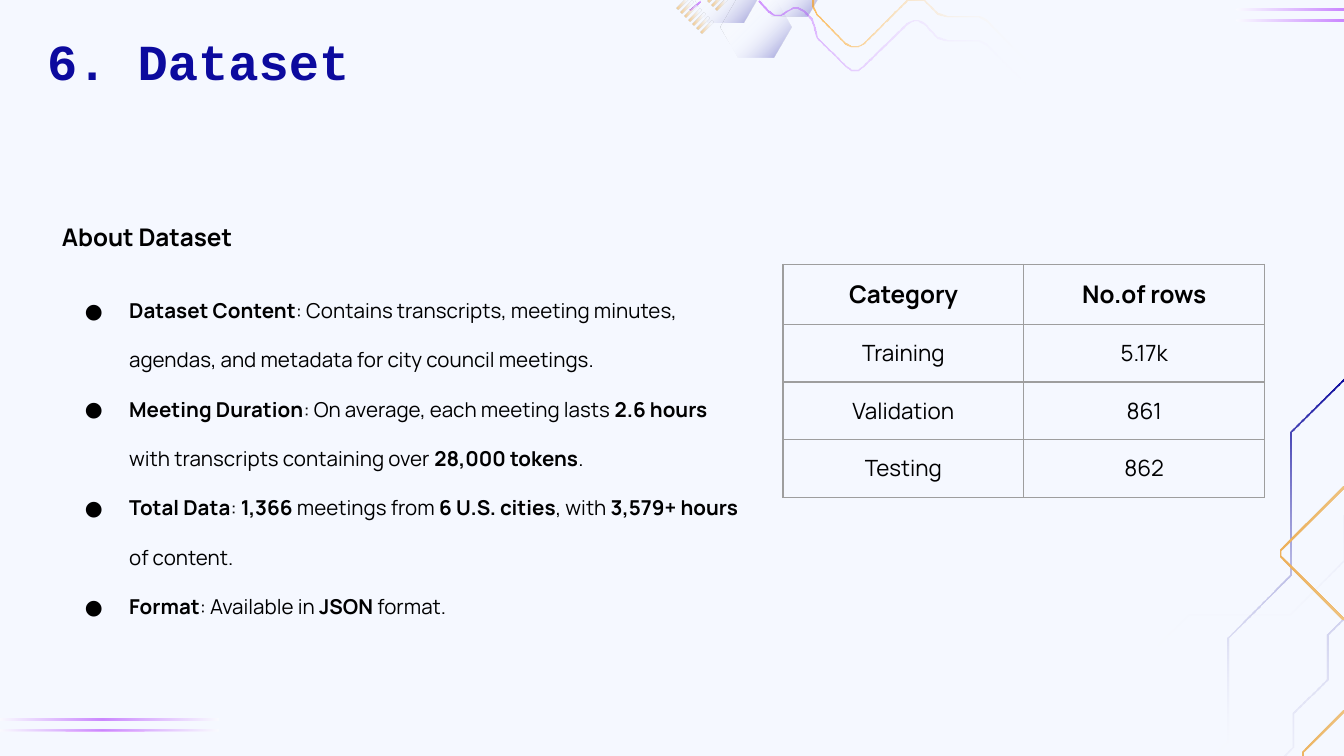
import math
import pptx
import pptx.dml.color
import pptx.enum.text
import pptx.oxml
import pptx.oxml.ns
import pptx.util

Pt = pptx.util.Pt
RGB = pptx.dml.color.RGBColor.from_string
enum = pptx.enum.text
NS = pptx.oxml.ns.nsdecls("a")

theme = {
    "back": "F5F8FF", "navy": "0C0A9E", "violet": "9900FF", "amber": "EB9109",
    "orange": "FF9900", "white": "FFFFFF", "ink": "000000", "grid": "9E9E9E",
    "head": "Courier New", "text": "Manrope",
    "title": 27, "lead": 13, "list": 11, "cell": 12,
}


def band(line, wide=1):
    """Outline of a thin band that follows a line, with mitred corners."""
    left, right = [], []
    for i, (x, y) in enumerate(line):
        norms = []
        for a, b in (line[max(i - 1, 0):i + 1], line[i:i + 2]) if 0 < i < len(line) - 1 else (
                (line[:2],) if i == 0 else (line[-2:],)):
            size = math.dist(a, b)
            norms.append(((a[1] - b[1]) / size, (b[0] - a[0]) / size))
        nx, ny = (sum(n) for n in zip(*norms))
        k = wide / 2 * len(norms) / (nx * nx + ny * ny)
        left.append((x + nx * k, y + ny * k))
        right.append((x - nx * k, y - ny * k))
    return left + right[::-1]


def draw(dots, stops, angle):
    """Closed outline with a gradient; stops are (place, colour, opacity)."""
    dots = [(Pt(x), Pt(y)) for x, y in dots]
    pen = slide.shapes.build_freeform(*dots[0], scale=1.0)
    pen.add_line_segments(dots[1:], close=True)
    shape = pen.convert_to_shape()
    shape.shadow.inherit = False
    shape.line.fill.background()
    marks = "".join(
        f'<a:gs pos="{at * 1000}"><a:srgbClr val="{tint}">'
        f'<a:alpha val="{clear * 1000}"/></a:srgbClr></a:gs>'
        for at, tint, clear in stops)
    fill = pptx.oxml.parse_xml(
        f'<a:gradFill {NS} rotWithShape="1"><a:gsLst>{marks}</a:gsLst>'
        f'<a:lin ang="{angle * 60000}" scaled="0"/></a:gradFill>')
    shape._element.spPr.insert(2, fill)


deck = pptx.Presentation()
deck.slide_width, deck.slide_height = Pt(720), Pt(405)
slide = deck.slides.add_slide(deck.slide_layouts[1])
slide.background.fill.solid()
slide.background.fill.fore_color.rgb = RGB(theme["back"])

# Double bars in two corners
white, violet = theme["white"], theme["violet"]
fade = [(0, white, 45), (47, violet, 45), (100, white, 45)]
rise = [(0, white, 45), (100, violet, 45)]
for x, wide, tops, stops in ((0, 117, (385, 391), fade), (662, 58, (4.6, 10.4), rise)):
    for y in tops:
        draw([(x, y), (x + wide, y), (x + wide, y + 1), (x, y + 1)], stops, 0)

# Circuit lines at the right edge
for line, stops, angle in (
    ([(720, 331), (711, 340), (711, 364), (693, 382), (693, 400), (688, 405)],
     [(0, "9B9AD7", 41), (100, "CCCBEA", 21)], 90),
    ([(720, 276), (720, 300), (691, 329), (637, 329), (619, 347)],
     [(0, "B3B2E1", 31), (100, white, 0)], 90),
    ([(720, 203), (691.5, 231.5), (691.5, 308), (658, 341.5), (658, 397), (650, 405)],
     [(0, theme["navy"], 100), (100, white, 8)], 90),
    ([(720, 261), (686, 295), (686, 298), (720, 332)],
     [(0, "EDB05A", 100), (100, "EFC27E", 100)], 0),
    ([(720, 381), (698, 403), (698, 405)],
     [(0, "EDB563", 100), (100, "EFC27E", 100)], 0),
):
    draw(band(line), stops, angle)

# Hexagons at the top
glass = [(0, theme["back"], 100), (22, theme["back"], 100),
         (45, white, 0), (100, theme["navy"], 48)]
for x, y in ((386, -2), (370, -21), (404, -24.5)):
    draw([(x + 9.5, y), (x, y + 16.5), (x + 9.5, y + 33),
          (x + 28.5, y + 33), (x + 38, y + 16.5), (x + 28.5, y)], glass, 45)

# Waves at the top
draw(band([(436, 0), (436, 4), (438, 8), (453, 23), (456, 24.6), (460, 24.6),
           (463, 23), (486, 0.5), (495, 0.5), (502, 7.5), (507, 9), (524, 9),
           (528, 11), (551, 34)]),
     [(0, theme["orange"], 60), (100, white, 0)], 0)
draw(band([(370, 5), (375, 0.5)]), [(0, violet, 45), (100, violet, 40)], 0)
draw(band([(407, 0.5), (412, 6), (415, 8), (419, 8), (422, 6), (425, 4.3),
           (428, 4.3), (431, 6), (435, 10), (436.5, 14), (438, 20), (453, 35),
           (456, 37.3), (460, 37.3), (463, 35), (486, 12.5), (489, 11),
           (492, 11), (495, 12.5), (502, 20), (507, 21.5), (524, 21.5),
           (528, 23.5), (551, 46.5)]),
     [(0, violet, 40), (100, white, 0)], 0)

# Rows of short dashes
spark = [(0, theme["amber"], 45), (78, theme["back"], 45), (100, theme["back"], 45)]
for x, y, count in ((379, -5.5, 3), (362.5, -2, 7)):
    for i in range(count):
        a, b = x + 2.16 * i, y + 2.16 * i
        draw([(a + 6, b), (a, b + 6), (a + 1, b + 7), (a + 7, b + 1)], spark, 0)

# Title and list placeholders
title, body = slide.shapes.title, slide.placeholders[1]
for shape, box, anchor in (
    (title, (18, 8, 628, 49), enum.MSO_ANCHOR.MIDDLE),
    (body, (26, 96, 379, 232), enum.MSO_ANCHOR.TOP),
):
    for name, value in zip(("left", "top", "width", "height"), box):
        setattr(shape, name, Pt(value))
    frame = shape.text_frame
    form = {"word_wrap": True, "auto_size": enum.MSO_AUTO_SIZE.NONE,
            "vertical_anchor": anchor}
    form.update((f"margin_{side}", Pt(7.2)) for side in ("left", "top", "right", "bottom"))
    for name, value in form.items():
        setattr(frame, name, value)

# Each paragraph alternates bold and plain text
texts = [
    (title, theme["title"], theme["head"], 1, 0, ["6. Dataset"]),
    (body, theme["lead"], theme["text"], 2, 14, ["About Dataset"]),
]
for i, parts in enumerate((
    ["Dataset Content", ": Contains transcripts, meeting minutes, agendas, "
     "and metadata for city council meetings."],
    ["Meeting Duration", ": On average, each meeting lasts ", "2.6 hours",
     " with transcripts containing over ", "28,000 tokens", "."],
    ["Total Data", ": ", "1,366", " meetings from ", "6 U.S. cities", ", with ",
     "3,579+ hours", " of content."],
    ["Format", ": Available in ", "JSON", " format."],
)):
    texts.append((body, theme["list"], theme["text"], 2, 0 if i else 12, parts))

for shape, size, face, space, before, parts in texts:
    frame = shape.text_frame
    para = frame.add_paragraph() if frame.text else frame.paragraphs[0]
    form = {"alignment": enum.PP_ALIGN.LEFT, "line_spacing": float(space),
            "space_before": Pt(before), "space_after": Pt(0)}
    for name, value in form.items():
        setattr(para, name, value)
    for i, part in enumerate(parts):
        run = para.add_run()
        run.text = part
        for name, value in {"size": Pt(size), "name": face, "bold": i % 2 == 0}.items():
            setattr(run.font, name, value)
        run.font.color.rgb = RGB(theme["ink" if shape is body else "navy"])
    prop = para._p.get_or_add_pPr()
    item = size == theme["list"]
    prop.set("marL", str(Pt(36 if item else 0)))
    prop.set("indent", str(Pt(-23.75 if item else 0)))
    if item:
        prop.append(pptx.oxml.parse_xml(
            f'<a:buClr {NS}><a:srgbClr val="{theme["ink"]}"/></a:buClr>'))
        prop.append(pptx.oxml.parse_xml(f'<a:buFont {NS} typeface="{face}"/>'))
        prop.append(pptx.oxml.parse_xml(f'<a:buChar {NS} char="●"/>'))
    else:
        prop.append(pptx.oxml.parse_xml(f'<a:buNone {NS}/>'))

# Table of splits
rows = [("Category", "No.of rows"), ("Training", "5.17k"),
        ("Validation", "861"), ("Testing", "862")]
table = slide.shapes.add_table(4, 2, Pt(419.5), Pt(141.7), Pt(258), Pt(120)).table
table.first_row = table.horz_banding = False
for i, row in enumerate(rows):
    table.rows[i].height = Pt(30)
    for j, word in enumerate(row):
        cell = table.cell(i, j)
        for side in ("left", "top", "right", "bottom"):
            setattr(cell, f"margin_{side}", Pt(7.2))
        cell.text = word
        para = cell.text_frame.paragraphs[0]
        para.alignment = enum.PP_ALIGN.CENTER
        font = para.runs[0].font
        form = {"size": Pt(theme["cell" if i else "lead"]),
                "name": theme["text"], "bold": i == 0}
        for name, value in form.items():
            setattr(font, name, value)
        font.color.rgb = RGB(theme["ink"])
        prop = cell._tc.get_or_add_tcPr()
        for side in "LRTB":
            prop.append(pptx.oxml.parse_xml(
                f'<a:ln{side} {NS} w="{Pt(0.75)}"><a:solidFill>'
                f'<a:srgbClr val="{theme["grid"]}"/></a:solidFill></a:ln{side}>'))
        cell.fill.background()

deck.save("out.pptx")
